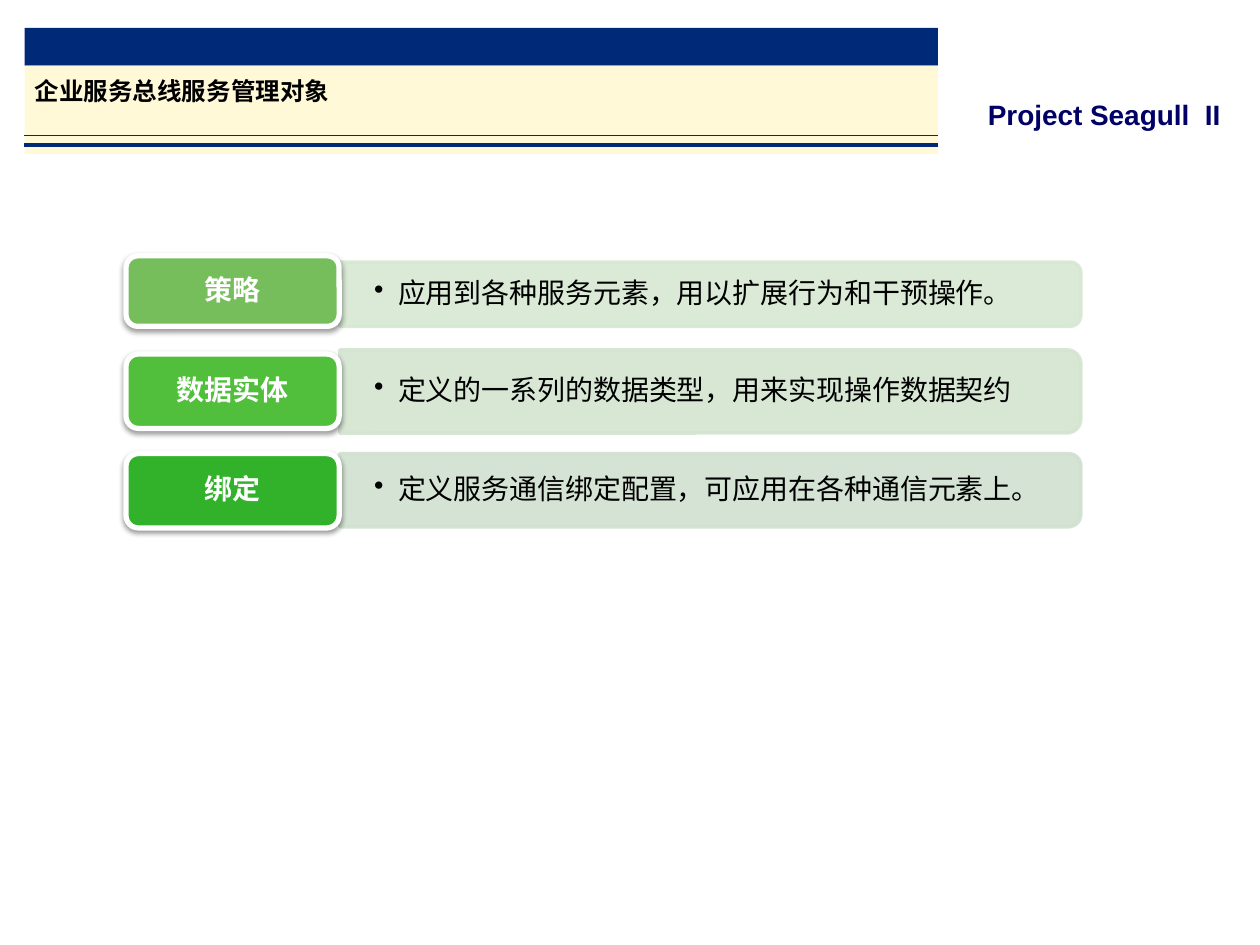
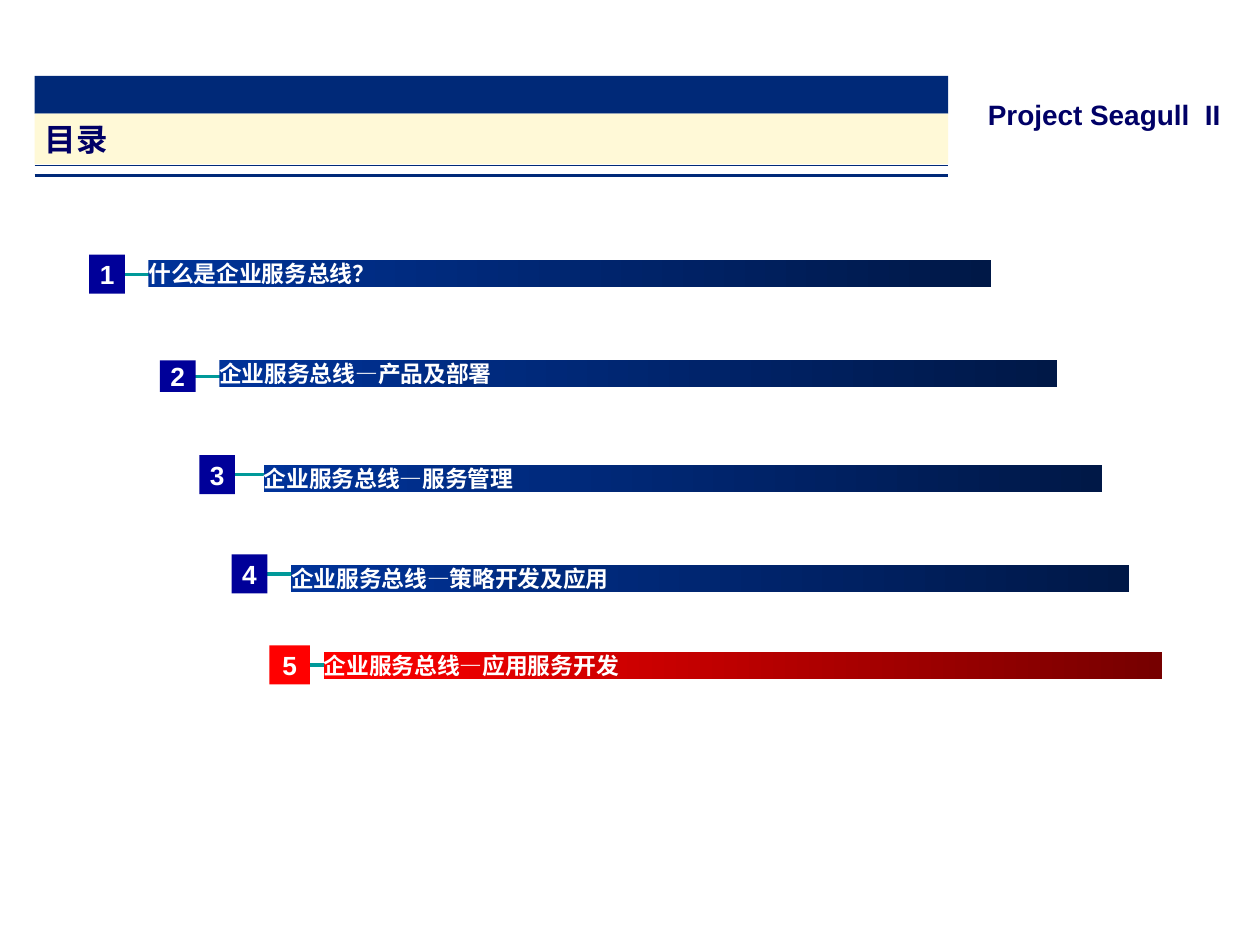
"""Build two slides on the enterprise service bus: managed objects and contents."""
from lxml.etree import SubElement as Sub
from pptx import Presentation
from pptx.dml.color import RGBColor as RGB
from pptx.enum.shapes import MSO_CONNECTOR as Conn, MSO_SHAPE as Kind
from pptx.enum.text import MSO_ANCHOR as Anchor, PP_ALIGN as Align
from pptx.oxml.ns import qn
from pptx.util import Pt

NAVY = RGB(0x00, 0x29, 0x78)
CREAM = RGB(0xFF, 0xF9, 0xD7)
INK = RGB(0x00, 0x00, 0x66)
BLACK = RGB(0x00, 0x00, 0x00)
WHITE = RGB(0xFF, 0xFF, 0xFF)
TEAL = RGB(0x00, 0x99, 0x99)
BLUE = RGB(0x00, 0x00, 0x99)
RED = RGB(0xFF, 0x00, 0x00)
BLUES = RGB(0x00, 0x33, 0x99), RGB(0x00, 0x18, 0x47)
REDS = RED, RGB(0x76, 0x00, 0x00)
LATIN = "Arial"
HAN = "Noto Sans CJK SC"


def block(slide, kind, at, fill):
    """Add a filled shape without line or shadow."""
    shape = slide.shapes.add_shape(kind, *map(Pt, at))
    shape.shadow.inherit = False
    shape.fill.solid()
    shape.fill.fore_color.rgb = fill
    shape.line.fill.background()
    return shape


def write(shape, text, size, color, align=Align.LEFT, pad=(0, 0), bold=True, font=LATIN):
    """Put one run of text in a shape, centred vertically."""
    frame = shape.text_frame
    frame.word_wrap = True
    frame.vertical_anchor = Anchor.MIDDLE
    frame.margin_left, frame.margin_right = map(Pt, pad)
    frame.margin_top = frame.margin_bottom = 0
    para = frame.paragraphs[0]
    para.alignment = align
    run = para.add_run()
    run.text = text
    run.font.size = Pt(size)
    run.font.bold = bold
    run.font.color.rgb = color
    run.font.name = font
    Sub(run.font._element, qn("a:ea"), typeface=HAN)
    return para


deck = Presentation()
deck.slide_width, deck.slide_height = Pt(720), Pt(540)
blank = deck.slide_layouts[6]

HEADS = [
    (14, 16, "企业服务总线服务管理对象", 14, BLACK, 21.6, 61.2),
    (19.8, 43.4, "目录", 18, INK, 0, 51),
]
slides = []
for left, top, title, size, color, extra, rule in HEADS:
    slide = deck.slides.add_slide(blank)
    slides.append(slide)
    mark = slide.shapes.add_textbox(Pt(564.5), Pt(54.5), Pt(142), Pt(22))
    write(mark, "Project Seagull  II", 16, INK)
    block(slide, Kind.RECTANGLE, (left, top, 522, 21.6), NAVY)
    panel = block(slide, Kind.RECTANGLE, (left, top + 21.6, 522, 28.8), CREAM)
    write(panel, title, size, color, pad=(5.8, 0))
    if extra:
        block(slide, Kind.RECTANGLE, (left, top + 50.4, 522, extra), CREAM)
    for y, width in ((top + rule, 0.25), (top + rule + 5.8, 2)):
        line = slide.shapes.add_connector(Conn.STRAIGHT, Pt(left), Pt(y), Pt(left + 522), Pt(y))
        line.line.color.rgb = NAVY
        line.line.width = Pt(width)
        Sub(line._element.spPr, qn("a:effectLst"))

goods, index = slides

OBJECTS = [
    ("策略", "应用到各种服务元素，用以扩展行为和干预操作。",
     RGB(0x76, 0xBE, 0x5B), RGB(0xD6, 0xE8, 0xD2), 168.1, 36.7, 146.2, 40.3),
    ("数据实体", "定义的一系列的数据类型，用来实现操作数据契约",
     RGB(0x51, 0xBF, 0x3B), RGB(0xD3, 0xE5, 0xD0), 223.7, 47.5, 202.3, 42.5),
    ("绑定", "定义服务通信绑定配置，可应用在各种通信元素上。",
     RGB(0x31, 0xB2, 0x2A), RGB(0xD0, 0xE1, 0xCF), 280.1, 41.8, 259.2, 42.5),
]
LONG = 423.4
for name, note, deep, pale, mid, tall, top, high in OBJECTS:
    at = 405.9 - tall / 2, mid - LONG / 2, tall, LONG
    bar = block(goods, Kind.ROUND_2_SAME_RECTANGLE, at, pale)
    bar.rotation = 90
    bar.line.color.rgb = pale
    bar.line.width = Pt(2)
    for tint in bar._element.spPr.iter(qn("a:srgbClr")):
        Sub(tint, qn("a:alpha"), val="90000")

    box = goods.shapes.add_textbox(Pt(194.4), Pt(mid - tall / 2), Pt(421.5), Pt(tall))
    para = write(box, note, 16, BLACK, pad=(19.4, 19.4), bold=False)
    para.line_spacing = 0.9
    props = para._p.get_or_add_pPr()
    props.set("marL", str(Pt(13.7)))
    props.set("indent", str(-Pt(13.7)))
    Sub(props, qn("a:buChar"), char="•")

    pill = block(goods, Kind.ROUNDED_RECTANGLE, (72, top, 121.8, high), deep)
    pill.line.color.rgb = WHITE
    pill.line.width = Pt(3)
    glow = Sub(pill._element.spPr.find(qn("a:effectLst")), qn("a:outerShdw"),
               blurRad=str(Pt(3.1)), dist=str(Pt(1.6)), dir="5400000", rotWithShape="0")
    Sub(Sub(glow, qn("a:srgbClr"), val="000000"), qn("a:alpha"), val="38000")
    para = write(pill, name, 16, WHITE, Align.CENTER, (5, 5), font=HAN)
    para.line_spacing = 0.9

ITEMS = [
    ("什么是企业服务总线？", 51, 156.7, 20.4, 22.3, 61.9, 84.8, 148.5, 481.7),
    ("企业服务总线—产品及部署", 91.4, 215, 20.4, 18, 102.2, 125.3, 205.8, 478.8),
    ("企业服务总线—服务管理", 113.9, 271.2, 20.4, 22.3, 125.3, 150.7, 265.7, 478.8),
    ("企业服务总线—策略开发及应用", 132.4, 328, 20.4, 22.3, 143.3, 166.3, 322.7, 478.8),
    ("企业服务总线—应用服务开发", 153.9, 380, 23.2, 22.3, 159.8, 185, 372.4, 478.8),
]
for num, (text, left, mid, wide, high, start, x, y, span) in enumerate(ITEMS, 1):
    last = num == len(ITEMS)
    line = index.shapes.add_connector(Conn.STRAIGHT, Pt(start), Pt(mid), Pt(start + 499.6), Pt(mid))
    line.line.color.rgb = TEAL
    line.line.width = Pt(1.75)
    Sub(line._element.spPr, qn("a:effectLst"))
    fill = RED if last else BLUE
    tag = block(index, Kind.RECTANGLE, (left, mid - high / 2, wide, high), fill)
    write(tag, str(num), 15, WHITE, Align.CENTER)
    bar = block(index, Kind.RECTANGLE, (x, y, span, 15.6), fill)
    bar.fill.gradient()
    bar.fill.gradient_angle = 0
    for stop, shade in zip(bar.fill.gradient_stops, REDS if last else BLUES):
        stop.color.rgb = shade
    write(bar, text, 13, WHITE)

deck.save("out.pptx")
